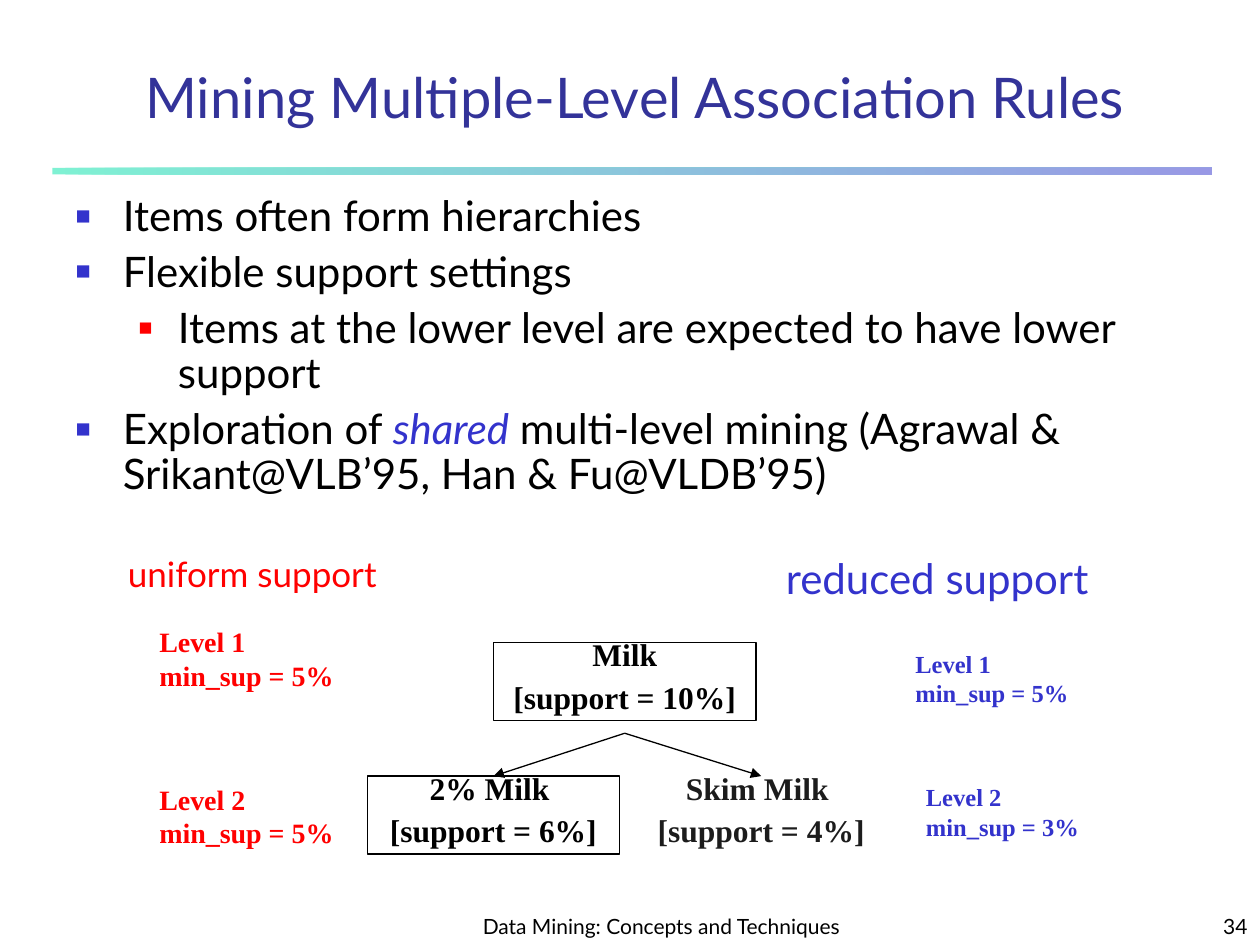
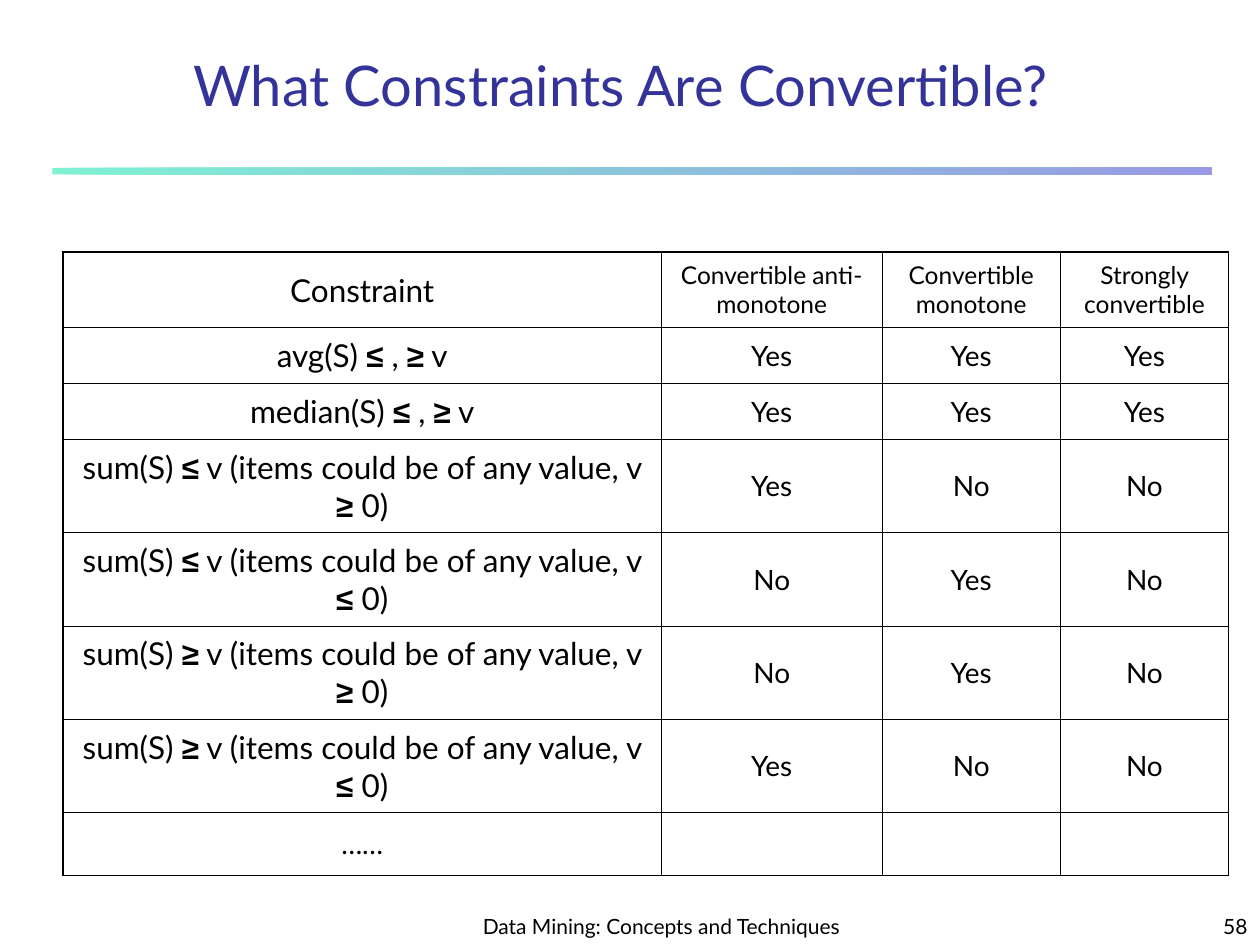
from itertools import groupby

from lxml import etree
from pptx import Presentation
from pptx.dml.color import RGBColor
from pptx.enum import dml, shapes, text
from pptx.oxml import ns
from pptx.util import Pt

BLACK = RGBColor(0x00, 0x00, 0x00)
WHITE = RGBColor(0xFF, 0xFF, 0xFF)
CHARCOAL = RGBColor(0x1C, 0x1C, 0x1C)
NAVY = RGBColor(0x33, 0x33, 0x99)
BLUE = RGBColor(0x33, 0x33, 0xCC)
RED = RGBColor(0xFF, 0x00, 0x00)
MINT = RGBColor(0x00, 0xE4, 0xA8)

SANS, SERIF, SYMBOL = "Lato", "Times New Roman", "Arial"
LEFT, CENTER, RIGHT = text.PP_ALIGN.LEFT, text.PP_ALIGN.CENTER, text.PP_ALIGN.RIGHT
TOP, MIDDLE, BOTTOM = text.MSO_ANCHOR.TOP, text.MSO_ANCHOR.MIDDLE, text.MSO_ANCHOR.BOTTOM

TITLE_ONLY, TITLE_AND_CONTENT = 5, 1

# Each item: level, list of (text, highlighted)
OUTLINE = [
    (0, [("Items often form hierarchies", False)]),
    (0, [("Flexible support settings", False)]),
    (1, [("Items at the lower level are expected to have lower support", False)]),
    (0, [("Exploration of ", False), ("shared", True),
         (" multi-level mining (Agrawal & Srikant@VLB’95, Han & Fu@VLDB’95)", False)]),
]
# Per level: left margin, hanging indent, bullet colour, bullet size in percent
BULLETS = [(27, 27, BLUE, 60), (58.5, 22.5, RED, 55)]

HEADINGS = ["Constraint", "Convertible anti-monotone", "Convertible monotone",
            "Strongly convertible"]
CONSTRAINTS = [
    ["avg(S) ≤ , ≥ v", "Yes", "Yes", "Yes"],
    ["median(S) ≤ , ≥ v", "Yes", "Yes", "Yes"],
    ["sum(S) ≤ v (items could be of any value, v ≥ 0)", "Yes", "No", "No"],
    ["sum(S) ≤ v (items could be of any value, v ≤ 0)", "No", "Yes", "No"],
    ["sum(S) ≥ v (items could be of any value, v ≥ 0)", "No", "Yes", "No"],
    ["sum(S) ≥ v (items could be of any value, v ≤ 0)", "Yes", "No", "No"],
    ["……", "", "", ""],
]
COLUMN_WIDTHS = [342, 126, 102, 96]
ROW_HEIGHTS = [43.2, 32, 32] + [53.3] * 4 + [36]


def points(*lengths):
    return [Pt(length) for length in lengths]


def add_child(parent, tag, **attributes):
    return etree.SubElement(parent, ns.qn(tag), attributes)


def make_translucent(shape, percent):
    for color in shape._element.spPr.iter(ns.qn("a:srgbClr")):
        add_child(color, "a:alpha", val=str(percent * 1000))


def add_span(para, words, size, font=SANS, color=BLACK, bold=False, italic=False):
    span = para.add_run()
    span.text = words
    span.font.name, span.font.size = font, Pt(size)
    span.font.bold, span.font.italic = bold, italic
    span.font.color.rgb = color


def write(frame, words, align=LEFT, anchor=TOP, wrap=True, spacing=1.0, before=0, **style):
    """Fill a text frame, one paragraph for each line of words."""
    frame.word_wrap = wrap
    frame.auto_size = text.MSO_AUTO_SIZE.NONE
    frame.vertical_anchor = anchor
    for index, line in enumerate(words.split("\n")):
        para = frame.add_paragraph() if index else frame.paragraphs[0]
        para.alignment, para.line_spacing = align, spacing
        para.space_before = Pt(before if index else 0)
        add_span(para, line, **style)


def add_label(page, box, words, **style):
    write(page.shapes.add_textbox(*points(*box)).text_frame, words, **style)


def place(placeholder, box):
    placeholder.left, placeholder.top, placeholder.width, placeholder.height = points(*box)


def add_page(deck, layout, title, title_box, number):
    """Add a slide with its title, footer and page number."""
    page = deck.slides.add_slide(deck.slide_layouts[layout])
    place(page.shapes.title, title_box)
    write(page.shapes.title.text_frame, title, align=CENTER, anchor=BOTTOM,
          size=32, color=NAVY)
    add_label(page, (264, 510, 228, 30), "Data Mining: Concepts and Techniques",
              align=CENTER, anchor=BOTTOM, size=12)
    add_label(page, (570, 510, 150, 30), number, align=RIGHT, anchor=BOTTOM, size=12)
    return page


def add_master_band(deck, page, box):
    """Draw the gradient rule on a page and move it to the shared master."""
    band = page.shapes.add_shape(shapes.MSO_SHAPE.RECTANGLE, *points(*box))
    band.shadow.inherit = False
    band.line.fill.background()
    band.fill.gradient()
    band.fill.gradient_angle = 0
    for stop, color, position in zip(band.fill.gradient_stops, (MINT, BLUE), (0, 1)):
        stop.color.rgb, stop.position = color, position
    make_translucent(band, 50)
    deck.slide_master.shapes._spTree.append(band._element)


def add_bullet(para, level):
    margin, hanging, color, percent = BULLETS[level]
    para.level = level
    props = para._p.get_or_add_pPr()
    props.set("marL", str(Pt(margin)))
    props.set("indent", str(-Pt(hanging)))
    add_child(add_child(props, "a:buClr"), "a:srgbClr", val=str(color))
    add_child(props, "a:buSzPct", val=str(percent * 1000))
    add_child(props, "a:buFont", typeface=SYMBOL)
    add_child(props, "a:buChar", char="■")


def fill_outline(body, box):
    place(body, box)
    frame = body.text_frame
    frame.auto_size = text.MSO_AUTO_SIZE.NONE
    for index, (level, spans) in enumerate(OUTLINE):
        para = frame.add_paragraph() if index else frame.paragraphs[0]
        add_bullet(para, level)
        para.line_spacing = 0.9
        para.space_before = Pt(6 if index else 0)
        for words, highlighted in spans:
            add_span(para, words, size=24, italic=highlighted,
                     color=BLUE if highlighted else BLACK)


def add_node(page, box, words, color=BLACK, pruned=False):
    node = page.shapes.add_shape(shapes.MSO_SHAPE.RECTANGLE, *points(*box))
    node.shadow.inherit = False
    node.fill.solid()
    node.fill.fore_color.rgb = WHITE
    node.line.color.rgb, node.line.width = BLACK, Pt(0.75)
    if pruned:
        make_translucent_fill = node.fill.fore_color
        make_translucent_fill.rgb = WHITE
        node.line.fill.background()
        make_translucent(node, 50)
        node.line.color.rgb, node.line.width = BLACK, Pt(0.75)
        node.line.dash_style = dml.MSO_LINE.DASH
    write(node.text_frame, words, align=CENTER, spacing=0.6, before=11.2,
          size=18, font=SERIF, color=color, bold=True)


def add_arrow(page, start, end):
    arrow = page.shapes.add_connector(shapes.MSO_CONNECTOR.STRAIGHT, *points(*start, *end))
    arrow.line.color.rgb, arrow.line.width = BLACK, Pt(0.75)
    add_child(arrow.line._get_or_add_ln(), "a:tailEnd", type="triangle")
    add_child(arrow._element.spPr, "a:effectLst")


def add_support_tree(page, left, top):
    """Draw the milk hierarchy between the two support schemes."""
    root_top, leaf_top, node_height = top + 55.2, top + 131.5, 44.6
    root = (left + 216, root_top, 150, node_height)
    leaf_kept = (left + 144, leaf_top, 144, node_height)
    leaf_pruned = (left + 300, leaf_top, 138, node_height)

    add_label(page, (left, top, 192, 42), "uniform support", size=20, color=RED)
    add_label(page, (left + 376, top, 202, 36), "reduced support", wrap=False,
              size=24, color=BLUE)
    add_node(page, root, "Milk\n[support = 10%]")
    add_node(page, leaf_kept, "2% Milk \n[support = 6%]")
    add_node(page, leaf_pruned, "Skim Milk \n[support = 4%]", color=CHARCOAL, pruned=True)

    uniform = dict(size=16, color=RED)
    reduced = dict(size=14, color=BLUE)
    for box, words, style in [
        ((left + 18, top + 41.5, 114, 46), "Level 1\nmin_sup = 5%", uniform),
        ((left + 18, leaf_top, 114, 46), "Level 2\nmin_sup = 5%", uniform),
        ((left + 450, root_top, 101.5, 41), "Level 1\nmin_sup = 5%", reduced),
        ((left + 456, leaf_top, 101.5, 41), "Level 2\nmin_sup = 3%", reduced),
    ]:
        add_label(page, box, words, wrap=False, font=SERIF, bold=True, **style)

    fork = (root[0] + root[2] / 2, top + 107)
    for leaf in (leaf_kept, leaf_pruned):
        add_arrow(page, fork, (leaf[0] + leaf[2] / 2, leaf_top))


def set_borders(cell, outer_sides):
    """Give a cell thin borders, thicker on the sides at the table's edge."""
    props = cell._tc.get_or_add_tcPr()
    for index, side in enumerate("LRTB"):
        width = Pt(1.08 if side in outer_sides else 0.45)
        line = add_child(props, f"a:ln{side}", w=str(width))
        add_child(add_child(line, "a:solidFill"), "a:srgbClr", val=str(BLACK))
        props.insert(index, line)


def write_cell(cell, words, size):
    """Write centred words with the comparison signs in bold."""
    cell.vertical_anchor = MIDDLE
    para = cell.text_frame.paragraphs[0]
    para.alignment = CENTER
    for is_sign, letters in groupby(words, key=lambda letter: letter in "≤≥"):
        add_span(para, "".join(letters), size, font=SYMBOL if is_sign else SANS, bold=is_sign)


def add_constraint_table(page, left, top):
    rows = [HEADINGS] + CONSTRAINTS
    last_row, last_column = len(rows) - 1, len(HEADINGS) - 1
    box = (left, top, sum(COLUMN_WIDTHS), sum(ROW_HEIGHTS))
    table = page.shapes.add_table(len(rows), len(HEADINGS), *points(*box)).table
    table.first_row = table.horz_banding = False
    for column, width in zip(table.columns, COLUMN_WIDTHS):
        column.width = Pt(width)
    for row, height in zip(table.rows, ROW_HEIGHTS):
        row.height = Pt(height)
    for r, row in enumerate(rows):
        for c, words in enumerate(row):
            cell = table.cell(r, c)
            cell.fill.background()
            edges = {"L": c == 0, "R": c == last_column, "T": r == 0, "B": r == last_row}
            set_borders(cell, [side for side, outer in edges.items() if outer])
            if r == last_row:
                size = 16
            elif c == 0:
                size = 18
            else:
                size = 16 if r else 14
            write_cell(cell, words, size)


def main():
    deck = Presentation()
    deck.slide_width, deck.slide_height = points(720, 540)

    rules_page = add_page(deck, TITLE_AND_CONTENT, "Mining Multiple-Level Association Rules",
                          (54, 30, 618, 48), "34")
    add_master_band(deck, rules_page, (30, 96, 662.5, 3.75))
    fill_outline(rules_page.placeholders[1], (36, 108, 660, 186))
    add_support_tree(rules_page, 66, 312)

    constraints_page = add_page(deck, TITLE_ONLY, "What Constraints Are Convertible?",
                                (66, 24, 577.5, 47), "58")
    add_constraint_table(constraints_page, 36, 144)
    deck.save("out.pptx")


if __name__ == "__main__":
    main()
